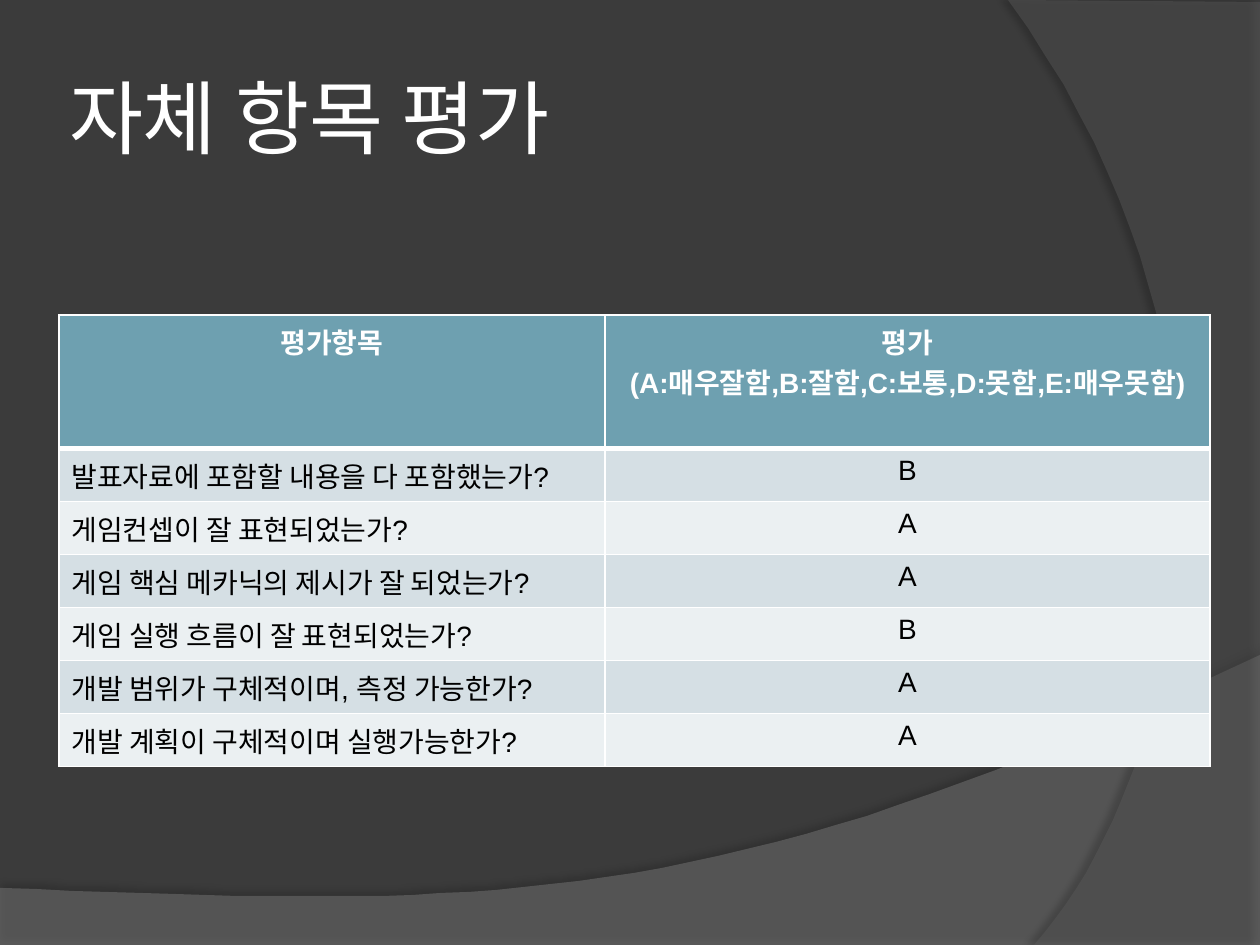
from lxml import etree
from pptx import Presentation
from pptx.dml.color import RGBColor
from pptx.enum.text import MSO_ANCHOR, PP_ALIGN
from pptx.oxml import parse_xml
from pptx.oxml.ns import nsdecls, qn
from pptx.util import Emu, Pt

SCALE = 914400 / 126  # EMU per px
COLORS = {
    "background": "3B3B3B", "lower_wave": "7F7F7F", "right_wave": "5E5E5E",
    "white": "FFFFFF", "black": "000000",
    "header": "6EA0B0", "odd_row": "D5DFE4", "even_row": "EBF0F2",
}
HEADINGS = ["평가항목", "평가\n(A:매우잘함,B:잘함,C:보통,D:못함,E:매우못함)"]
RATINGS = [
    ("발표자료에 포함할 내용을 다 포함했는가?", "B"),
    ("게임컨셉이 잘 표현되었는가?", "A"),
    ("게임 핵심 메카닉의 제시가 잘 되었는가?", "A"),
    ("게임 실행 흐름이 잘 표현되었는가?", "B"),
    ("개발 범위가 구체적이며, 측정 가능한가?", "A"),
    ("개발 계획이 구체적이며 실행가능한가?", "A"),
]


def px(length):
    return Emu(round(length * SCALE))


def rgb(name):
    return RGBColor.from_string(COLORS[name])


def write_text(frame, text, *, size, font, color, bold=False, align=PP_ALIGN.LEFT):
    frame.text = text
    for paragraph in frame.paragraphs:
        paragraph.alignment = align
        for run in paragraph.runs:
            run.font.size = Pt(size)
            run.font.name = font
            run.font.bold = bold
            run.font.color.rgb = rgb(color)


def bezier(start, control_1, control_2, end, steps=40):
    """Points along a cubic curve, without its start."""
    points = []
    for step in range(1, steps + 1):
        t = step / steps
        weights = ((1 - t) ** 3, 3 * t * (1 - t) ** 2, 3 * t * t * (1 - t), t ** 3)
        corners = (start, control_1, control_2, end)
        points.append(tuple(round(sum(w * c[axis] for w, c in zip(weights, corners)), 2)
                            for axis in (0, 1)))
    return points


class SlideBuilder:
    def __init__(self, slide, font="Arial", size=16):
        self.slide, self.font, self.size = slide, font, size

    def background(self, color):
        fill = self.slide.background.fill
        fill.solid()
        fill.fore_color.rgb = rgb(color)

    def wave(self, points, *, color, opacity, shadow_opacity, distance, direction):
        builder = self.slide.shapes.build_freeform(*points[0], scale=SCALE)
        builder.add_line_segments(points[1:], close=True)
        shape = builder.convert_to_shape()
        shape.fill.solid()
        shape.fill.fore_color.rgb = rgb(color)
        shape.line.fill.background()
        fill_color = shape.element.spPr.find(qn("a:solidFill"))[0]
        etree.SubElement(fill_color, qn("a:alpha"), val=str(opacity * 1000))
        shape.element.spPr.append(parse_xml(
            f'<a:effectLst {nsdecls("a")}><a:outerShdw blurRad="{Pt(4)}" '
            f'dist="{Pt(distance)}" dir="{direction * 60000}" rotWithShape="0">'
            f'<a:srgbClr val="{COLORS["black"]}"><a:alpha val="{shadow_opacity * 1000}"/>'
            '</a:srgbClr></a:outerShdw></a:effectLst>'))

    def title(self, text, left, top, width, height):
        heading = self.slide.shapes.title
        heading.left, heading.top = px(left), px(top)
        heading.width, heading.height = px(width), px(height)
        frame = heading.text_frame
        frame.vertical_anchor = MSO_ANCHOR.MIDDLE
        frame.margin_left = frame.margin_right = px(6)
        frame.margin_top = frame.margin_bottom = px(6)
        write_text(frame, text, size=46, font="Cabin", color="white")
        heading.element.getparent().append(heading.element)  # in front of the waves

    def borders(self, cell, bottom):
        properties = cell._tc.get_or_add_tcPr()
        for side, weight in (("L", 1), ("R", 1), ("T", 1), ("B", bottom)):
            properties.append(parse_xml(
                f'<a:ln{side} {nsdecls("a")} w="{Pt(weight)}"><a:solidFill>'
                f'<a:srgbClr val="{COLORS["white"]}"/></a:solidFill></a:ln{side}>'))

    def table(self, rows, left, top, height, columns, row_height):
        frame = self.slide.shapes.add_table(
            len(rows), len(columns), px(left), px(top), px(sum(columns)), px(height))
        grid = frame.table
        for column, width in zip(grid.columns, columns):
            column.width = px(width)
        for r, texts in enumerate(rows):
            grid.rows[r].height = px(row_height)
            is_header = r == 0
            fill = "header" if is_header else "odd_row" if r % 2 else "even_row"
            for c, text in enumerate(texts):
                cell = grid.cell(r, c)
                # The rule under the header is 3 pt, shared with the first row
                self.borders(cell, bottom=3 if is_header else 1)
                if r == 1:
                    cell._tc.tcPr.find(qn("a:lnT")).set("w", str(Pt(3)))
                cell.fill.solid()
                cell.fill.fore_color.rgb = rgb(fill)
                write_text(cell.text_frame, text, size=self.size, font=self.font,
                           color="white" if is_header else "black", bold=is_header,
                           align=PP_ALIGN.CENTER if is_header or c else PP_ALIGN.LEFT)
        frame.height = px(height)


def main():
    deck = Presentation()
    deck.slide_width, deck.slide_height = px(1260), px(945)
    builder = SlideBuilder(deck.slides.add_slide(deck.slide_layouts[5]))

    # Background waves
    builder.background("background")
    lower_curve = bezier((1260, 655), (704, 919), (493, 906), (0, 888))
    builder.wave([(0, 888), (0, 945), (1260, 945), (1260, 655), *lower_curve[:-1]],
                 color="lower_wave", opacity=45, shadow_opacity=35,
                 distance=3.5, direction=270)
    right_curve = bezier((1034, 945), (1178, 780), (1283, 378), (1008, 0))
    builder.wave([(1260, 2), (1260, 945), (1034, 945), *right_curve],
                 color="right_wave", opacity=40, shadow_opacity=45,
                 distance=4, direction=180)

    # Title and rating table
    builder.title("자체 항목 평가", 63, 38, 1029, 157)
    builder.table([HEADINGS, *RATINGS], 59, 315, 387, columns=[546, 605], row_height=52)

    deck.save("out.pptx")


if __name__ == "__main__":
    main()
